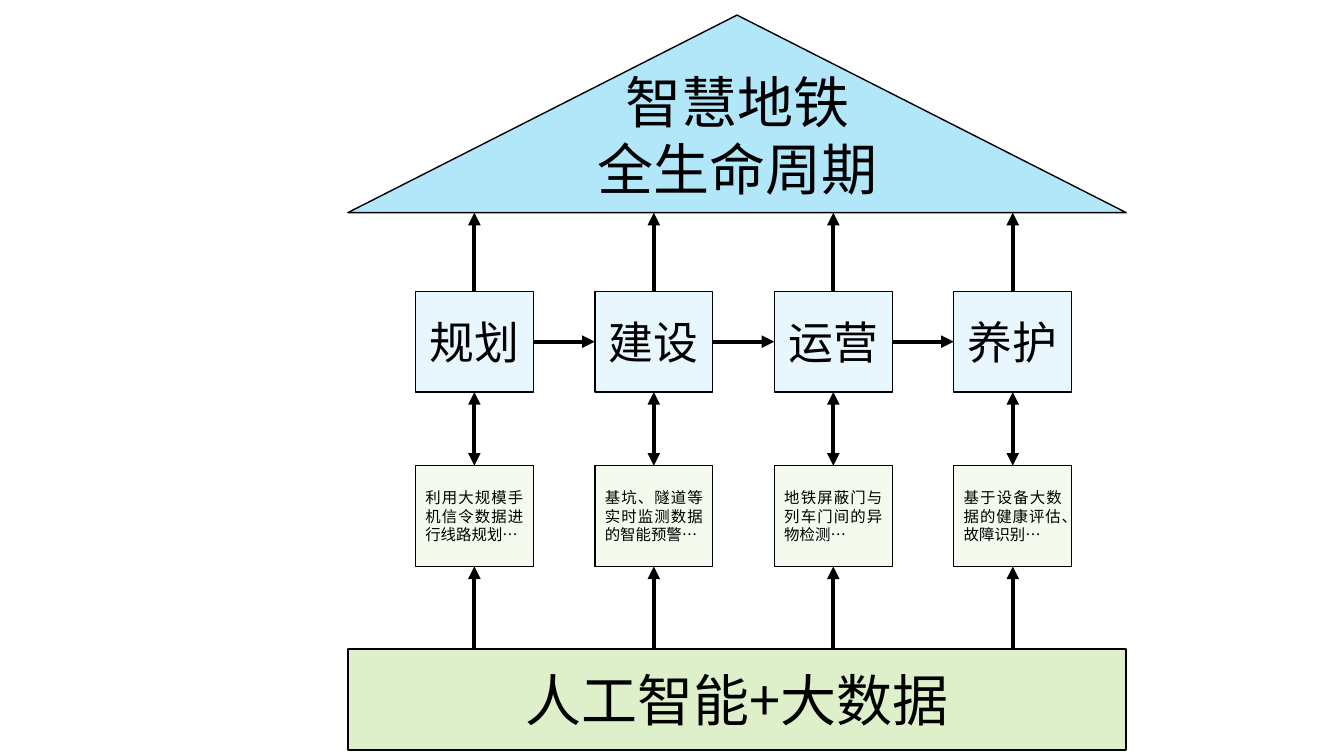
from lxml import etree
from pptx import Presentation
from pptx.dml.color import RGBColor
from pptx.enum.shapes import MSO_CONNECTOR, MSO_SHAPE
from pptx.enum.text import MSO_ANCHOR, MSO_AUTO_SIZE, PP_ALIGN
from pptx.oxml.ns import qn
from pptx.util import Inches, Pt

RECTANGLE, TRIANGLE = MSO_SHAPE.RECTANGLE, MSO_SHAPE.ISOSCELES_TRIANGLE
STRAIGHT = MSO_CONNECTOR.STRAIGHT
CENTER, JUSTIFY = PP_ALIGN.CENTER, PP_ALIGN.JUSTIFY
TOP, LEFT, BOTTOM, RIGHT = range(4)

FONT = "Noto Sans CJK SC"
BLACK, SKY, PALE_GREEN, GREEN = "000000", "B2E7FA", "DEF1CA", "92D050"
HOUSE_LEFT, HOUSE_WIDTH = 3.45, 7.72
ROOF_TOP, ROOF_HEIGHT = 0.15, 1.96
FIRST_COLUMN, COLUMN_STEP = 4.12, 1.78
BOX_WIDTH, BOX_HEIGHT = 1.17, 1
STAGE_TOP, USE_TOP, BASE_TOP = 2.89, 4.62, 6.44

COLUMNS = [
    ("规划", "利用大规模手机信令数据进行线路规划…"),
    ("建设", "基坑、隧道等实时监测数据的智能预警…"),
    ("运营", "地铁屏蔽门与列车门间的异物检测…"),
    ("养护", "基于设备大数据的健康评估、故障识别…"),
]

deck = Presentation()
deck.slide_width, deck.slide_height = Inches(13.33), Inches(7.5)
page = deck.slides.add_slide(deck.slide_layouts[6])


def add_box(preset, place, color, opacity, lines=(), size=0, align=CENTER):
    """Add an outlined shape with its lines of text; no preset gives a bare text box."""
    place = [Inches(length) for length in place]
    if preset is None:
        box = page.shapes.add_textbox(*place)
        box.text_frame.word_wrap = False
        box.text_frame.auto_size = MSO_AUTO_SIZE.SHAPE_TO_FIT_TEXT
    else:
        box = page.shapes.add_shape(preset, *place)
        box.shadow.inherit = False
        box.fill.solid()
        box.fill.fore_color.rgb = RGBColor.from_string(color)
        if opacity < 100:
            tint = box.fill._xPr.find(".//" + qn("a:srgbClr"))
            etree.SubElement(tint, qn("a:alpha"), val=str(opacity * 1000))
        box.line.color.rgb = RGBColor.from_string(BLACK)
        box.line.width = Pt(1)
        box.text_frame.vertical_anchor = MSO_ANCHOR.MIDDLE
    for index, line in enumerate(lines):
        frame = box.text_frame
        para = frame.add_paragraph() if index else frame.paragraphs[0]
        para.alignment = align
        span = para.add_run()
        span.text = line
        span.font.size = Pt(size)
        span.font.name = FONT
        span.font.color.rgb = RGBColor.from_string(BLACK)
        etree.SubElement(span.font._element, qn("a:ea"), typeface=FONT)
    return box


def add_arrow(start, end, from_joint=None, to_joint=None, both_ways=False):
    """Draw an arrow between two points; a joint is a (box, side) pair to glue to."""
    arrow = page.shapes.add_connector(STRAIGHT, *map(Inches, start + end))
    if from_joint:
        arrow.begin_connect(*from_joint)
    if to_joint:
        arrow.end_connect(*to_joint)
    arrow.line.color.rgb = RGBColor.from_string(BLACK)
    arrow.line.width = Pt(3)
    outline = arrow.line._get_or_add_ln()
    if both_ways:
        etree.SubElement(outline, qn("a:headEnd"), type="triangle")
    etree.SubElement(outline, qn("a:tailEnd"), type="triangle")
    etree.SubElement(arrow._element.spPr, qn("a:effectLst"))


# Roof and base
add_box(TRIANGLE, (HOUSE_LEFT, ROOF_TOP, HOUSE_WIDTH, ROOF_HEIGHT), SKY, 100)
add_box(None, (5.81, 0.62, 3.01, 1.45), None, 100, ["智慧地铁", "全生命周期"], 40)
add_box(RECTANGLE, (HOUSE_LEFT, BASE_TOP, HOUSE_WIDTH, BOX_HEIGHT), GREEN, 30,
        ["人工智能+大数据"], 40)

# Pillars: one stage of the life cycle above its data use
previous = None
for column, (stage_name, use_text) in enumerate(COLUMNS):
    left = FIRST_COLUMN + column * COLUMN_STEP
    middle = left + BOX_WIDTH / 2
    stage = add_box(RECTANGLE, (left, STAGE_TOP, BOX_WIDTH, BOX_HEIGHT), SKY, 30,
                    [stage_name], 32)
    use = add_box(RECTANGLE, (left, USE_TOP, BOX_WIDTH, BOX_HEIGHT), PALE_GREEN, 30,
                  [use_text], 11, JUSTIFY)

    add_arrow((middle, BASE_TOP), (middle, USE_TOP + BOX_HEIGHT), to_joint=(use, BOTTOM))
    add_arrow((middle, USE_TOP), (middle, STAGE_TOP + BOX_HEIGHT),
              (use, TOP), (stage, BOTTOM), both_ways=True)
    add_arrow((middle, STAGE_TOP), (middle, ROOF_TOP + ROOF_HEIGHT), (stage, TOP))
    if previous:
        center = STAGE_TOP + BOX_HEIGHT / 2
        add_arrow((left - COLUMN_STEP + BOX_WIDTH, center), (left, center),
                  (previous, RIGHT), (stage, LEFT))
    previous = stage

deck.save("out.pptx")
